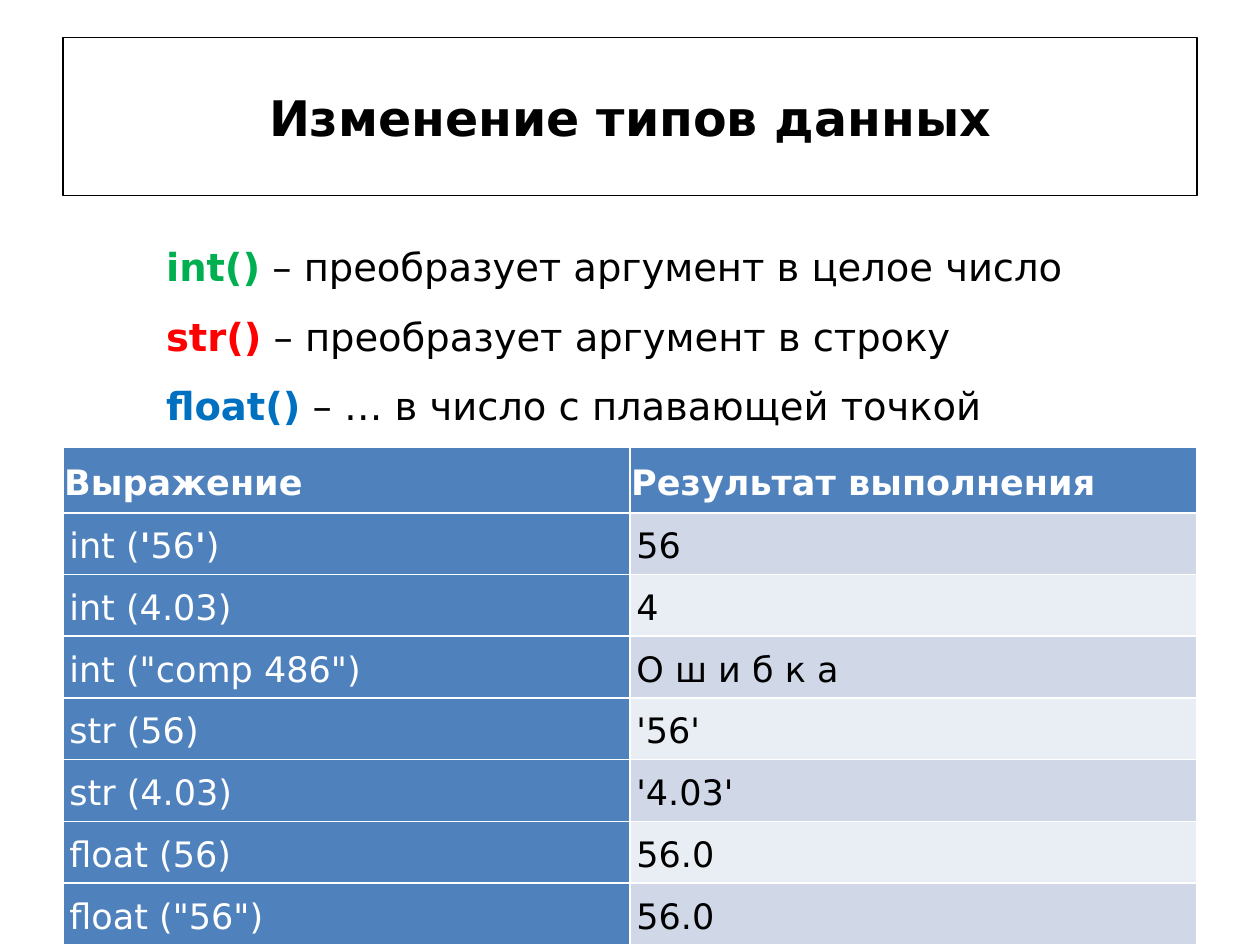
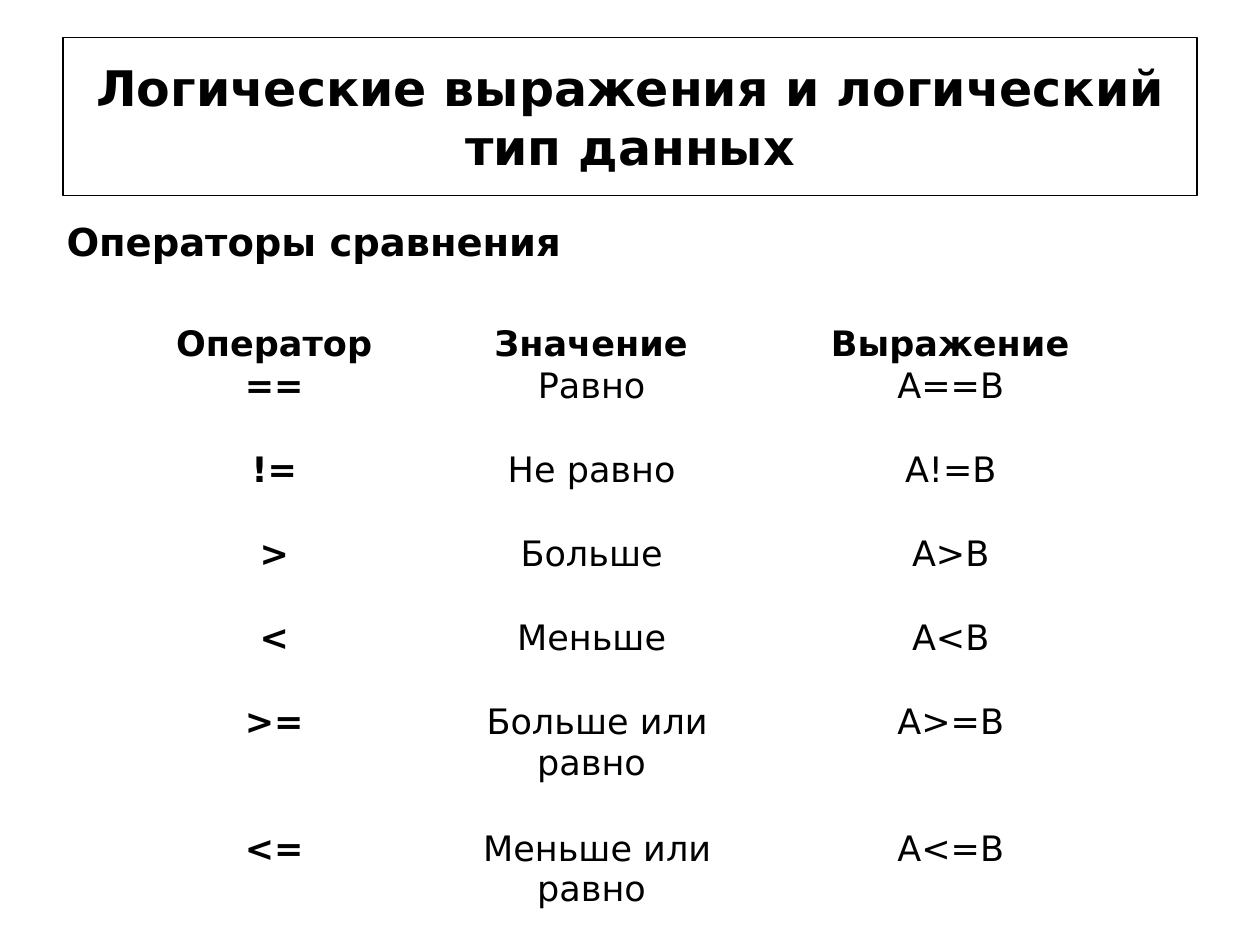
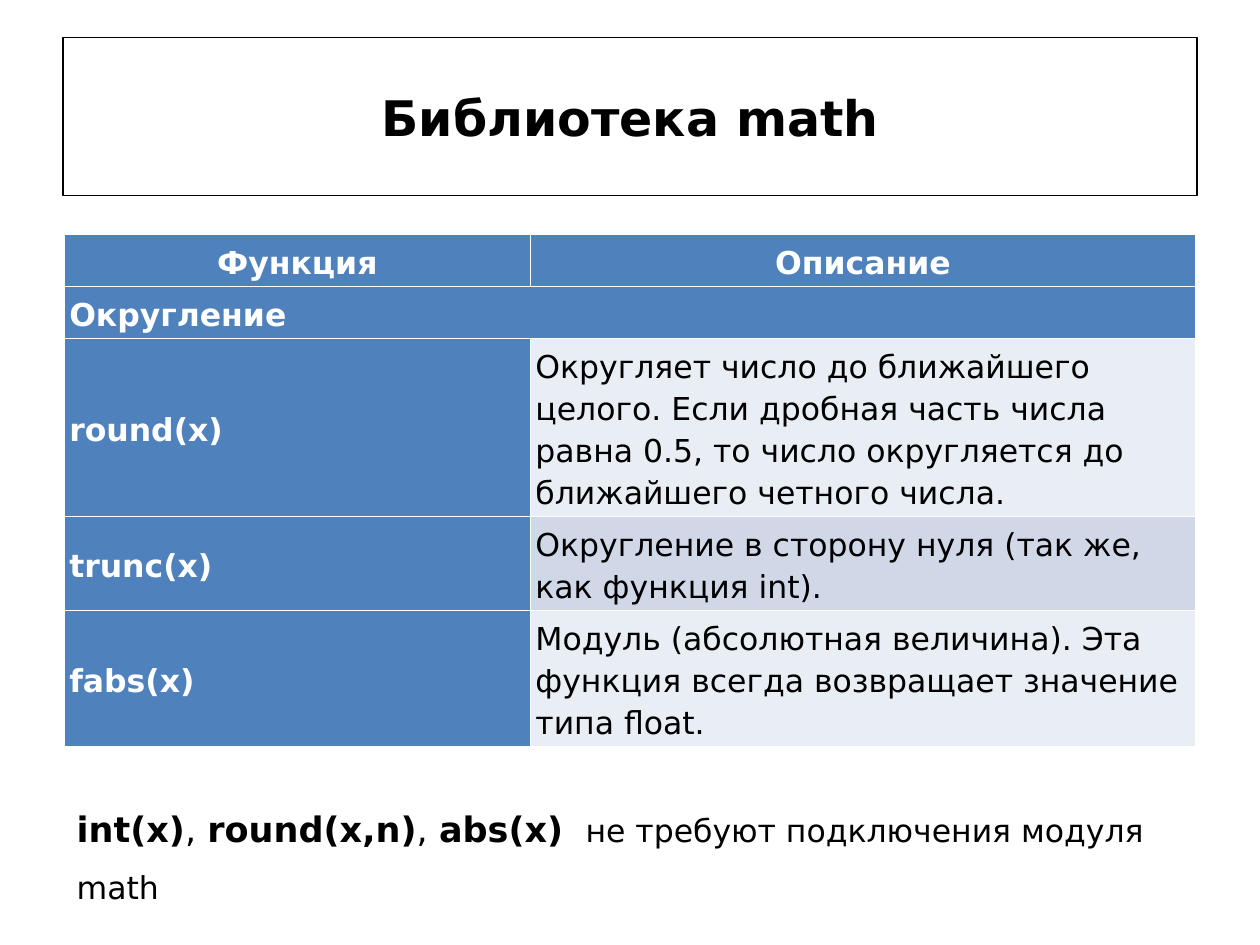
"""Build three slides on Python data types, comparisons and the math library."""
from pptx import Presentation
from pptx import util as u
from pptx.dml.color import RGBColor
from pptx.enum import text

FONT = "DejaVu Sans"
BLACK = RGBColor(0x00, 0x00, 0x00)
WHITE = RGBColor(0xFF, 0xFF, 0xFF)
GREEN = RGBColor(0x00, 0xB0, 0x50)
RED = RGBColor(0xFF, 0x00, 0x00)
BLUE = RGBColor(0x00, 0x70, 0xC0)
HEADER = RGBColor(0x4F, 0x81, 0xBD)
BANDS = [RGBColor(0xE9, 0xED, 0xF4), RGBColor(0xD0, 0xD8, 0xE8)]
CENTER = text.PP_ALIGN.CENTER
LEFT = text.PP_ALIGN.LEFT

deck = Presentation()
deck.slide_width = u.Inches(10)
deck.slide_height = u.Inches(7.5)


def style(para, size, color=BLACK, bold=False, spacing=1.0, align=LEFT):
    para.font.name = FONT
    para.font.size = u.Pt(size)
    para.font.color.rgb = color
    para.font.bold = bold
    para.line_spacing = spacing
    para.alignment = align


def add_page(heading):
    page = deck.slides.add_slide(deck.slide_layouts[5])
    title = page.shapes.title
    title.left, title.top = u.Inches(0.5), u.Inches(0.3)
    title.width, title.height = u.Inches(9), u.Inches(1.25)
    title.line.color.rgb = BLACK
    title.line.width = u.Pt(0.75)
    title.text_frame.text = heading
    title.text_frame.vertical_anchor = text.MSO_ANCHOR.MIDDLE
    style(title.text_frame.paragraphs[0], 28, bold=True, align=CENTER)
    return page


page = add_page("Изменение типов данных")
box = page.shapes.add_textbox(u.Inches(1.22), u.Inches(1.7), u.Inches(7.32), u.Inches(1.69))
box.text_frame.word_wrap = True
conversions = [
    ("int()", " – преобразует аргумент в целое число", GREEN),
    ("str()", " – преобразует аргумент в строку", RED),
    ("float()", " – … в число с плавающей точкой", BLUE),
]
for index, (name, meaning, color) in enumerate(conversions):
    para = box.text_frame.add_paragraph() if index else box.text_frame.paragraphs[0]
    style(para, 22, spacing=1.5)
    span = para.add_run()
    span.text = name
    span.font.bold = True
    span.font.color.rgb = color
    para.add_run().text = meaning

results = [
    (["Выражение"], "Результат выполнения"),
    (["int (", "'", "56", "'", ")"], "56"),
    (["int (4.03)"], "4"),
    (['int ("comp 486")'], "O ш и б к а"),
    (["str (56)"], "'56'"),
    (["str (4.03)"], "'4.03'"),
    (["float (56)"], "56.0"),
    (['float ("56")'], "56.0"),
]
table = page.shapes.add_table(len(results), 2, u.Inches(0.5), u.Inches(3.55),
                              u.Inches(9), u.Inches(3.94)).table
for row, (expression, result) in enumerate(results):
    table.rows[row].height = u.Inches(0.49 if row else 0.52)
    for column, pieces in enumerate([expression, [result]]):
        cell = table.cell(row, column)
        dark = row == 0 or column == 0
        cell.fill.solid()
        cell.fill.fore_color.rgb = HEADER if dark else BANDS[row % 2]
        cell.vertical_anchor = text.MSO_ANCHOR.MIDDLE
        inset = u.Inches(0.05 if row else 0.01)
        cell.margin_left = cell.margin_right = cell.margin_top = cell.margin_bottom = inset
        para = cell.text_frame.paragraphs[0]
        style(para, 20, WHITE if dark else BLACK, bold=row == 0, spacing=1.15)
        for piece in pieces:
            span = para.add_run()
            span.text = piece
            if piece == "'":
                span.font.bold = True

page = add_page("Логические выражения и логический тип данных")
box = page.shapes.add_textbox(u.Inches(0.43), u.Inches(1.68), u.Inches(9.06), u.Inches(0.47))
box.text_frame.word_wrap = True
box.text_frame.text = "Операторы сравнения"
style(box.text_frame.paragraphs[0], 22, bold=True)

operators = [
    ("==", "Равно", "А==В"),
    ("!=", "Не равно", "А!=B"),
    (">", "Больше", "A>B"),
    ("<", "Меньше", "A<B"),
    (">=", "Больше или равно", "A>=B"),
    ("<=", "Меньше или равно", "A<=B"),
]
cells = {(0, column): name for column, name in enumerate(["Оператор", "Значение", "Выражение"])}
for index, values in enumerate(operators):
    for column, value in enumerate(values):
        cells[2 * index + 1, column] = value
table = page.shapes.add_table(2 * len(operators), 3, u.Inches(1.06), u.Inches(2.57),
                              u.Inches(8.03), u.Inches(4)).table
table.first_row = table.horz_banding = False
for column, width in enumerate([2.33, 2.7, 3]):
    table.columns[column].width = u.Inches(width)
for row in range(2 * len(operators)):
    table.rows[row].height = u.Inches(0.33)
    for column in range(3):
        cell = table.cell(row, column)
        cell.fill.background()
        cell.margin_left = cell.margin_right = cell.margin_top = cell.margin_bottom = 0
        if (row, column) in cells:
            cell.text = cells[row, column] + " "
        style(cell.text_frame.paragraphs[0], 20, bold=row == 0 or column == 0, align=CENTER)

page = add_page("Библиотека math")
functions = [
    ("Функция", "Описание", 0.4),
    ("Округление", "", 0.4),
    ("round(x)", "Округляет число до ближайшего целого. Если дробная часть числа равна 0.5, "
     "то число округляется до ближайшего четного числа.", 1.41),
    ("trunc(x)", "Округление в сторону нуля (так же, как функция int).", 0.74),
    ("fabs(x)", "Модуль (абсолютная величина). Эта функция всегда возвращает значение "
     "типа float.", 1.07),
]
table = page.shapes.add_table(len(functions), 2, u.Inches(0.51), u.Inches(1.86),
                              u.Inches(8.98), u.Inches(4.02)).table
table.columns[0].width = u.Inches(3.7)
table.columns[1].width = u.Inches(5.28)
table.cell(1, 0).merge(table.cell(1, 1))
for row, (name, meaning, height) in enumerate(functions):
    table.rows[row].height = u.Inches(height)
    for column, value in enumerate([name, meaning]):
        cell = table.cell(row, column)
        dark = row < 2 or column == 0
        cell.fill.solid()
        cell.fill.fore_color.rgb = HEADER if dark else BANDS[row % 2]
        cell.vertical_anchor = text.MSO_ANCHOR.MIDDLE
        cell.margin_left = cell.margin_right = cell.margin_top = cell.margin_bottom = u.Inches(0.04)
        cell.text = value
        style(cell.text_frame.paragraphs[0], 18, WHITE if dark else BLACK, bold=dark,
              spacing=1.15, align=LEFT if row else CENTER)

box = page.shapes.add_textbox(u.Inches(0.51), u.Inches(6.19), u.Inches(8.98), u.Inches(1.06))
box.text_frame.word_wrap = True
para = box.text_frame.paragraphs[0]
style(para, 20, spacing=1.5)
for piece, bold, size in [
    ("int(x)", True, 20),
    (", ", False, 20),
    ("round(x,n)", True, 20),
    (", ", False, 20),
    ("abs(x) ", True, 20),
    (" не требуют подключения модуля math", False, 18),
]:
    span = para.add_run()
    span.text = piece
    span.font.bold = bold
    span.font.size = u.Pt(size)

deck.save("out.pptx")
